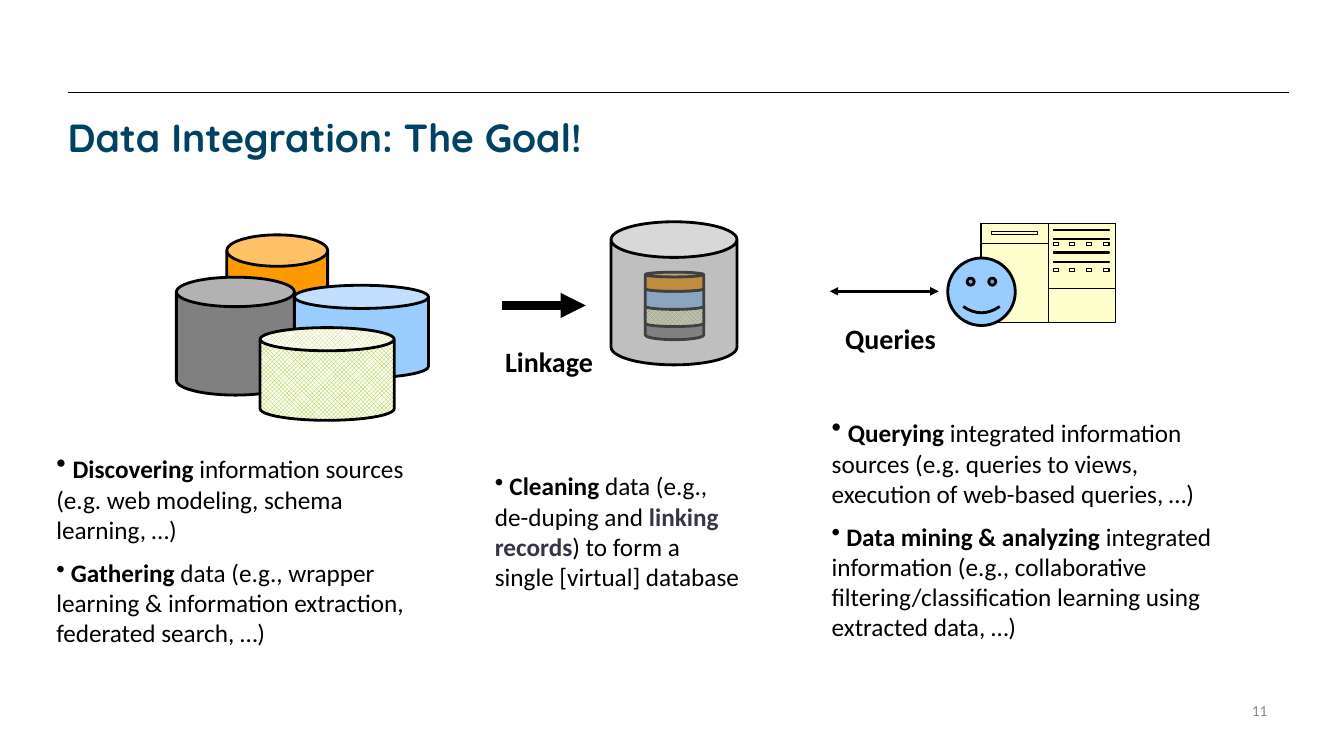
from dataclasses import dataclass

from lxml.etree import SubElement
from pptx import Presentation
from pptx.dml.color import RGBColor
from pptx.enum.dml import MSO_PATTERN
from pptx.enum.shapes import MSO_CONNECTOR, MSO_SHAPE
from pptx.enum.text import MSO_ANCHOR, MSO_AUTO_SIZE, PP_ALIGN
from pptx.oxml.ns import qn
from pptx.util import Pt

PX = 9144


@dataclass(frozen=True)
class Theme:
    """Colours, fonts and type sizes of the slide."""
    ink: str = "000000"
    navy: str = "004266"
    slate: str = "373545"
    mute: str = "898989"
    orange: str = "FF9900"
    blue: str = "99CCFF"
    gray: str = "808080"
    lime: str = "99CC00"
    white: str = "FFFFFF"
    cream: str = "FFFFCC"
    head: str = "Quicksand"
    body: str = "Calibri"
    title: int = 28
    label: int = 20
    text: int = 18
    small: int = 11


T = Theme()


def rgb(tone):
    """Turn a hex tone into a colour."""
    return RGBColor.from_string(tone)


def style(font, size, tone, bold=None, face=T.body):
    """Set size, colour, weight and face of a font."""
    font.name, font.size, font.bold = face, Pt(size), bold
    font.color.rgb = rgb(tone)


def outline(shape, width=2):
    """Give a shape a plain black outline."""
    shape.shadow.inherit = False
    shape.line.color.rgb = rgb(T.ink)
    shape.line.width = Pt(width)


def frame(shapes, x, y, w, h):
    """Add a text box and return its frame."""
    return shapes.add_textbox(x * PX, y * PX, w * PX, h * PX).text_frame


def label(shapes, x, y, w, h, text):
    """Add a bold caption that does not wrap."""
    body = frame(shapes, x, y, w, h)
    body.word_wrap = False
    body.auto_size = MSO_AUTO_SIZE.SHAPE_TO_FIT_TEXT
    para = body.paragraphs[0]
    para.text, para.alignment = text, PP_ALIGN.RIGHT
    style(para.font, T.label, T.ink, True)


def notes(shapes, x, y, w, h, items, lead=T.label):
    """Add bulleted paragraphs made of (text, bold, tone) runs."""
    body = frame(shapes, x, y, w, h)
    body.word_wrap = True
    body.auto_size = MSO_AUTO_SIZE.SHAPE_TO_FIT_TEXT
    for i, runs in enumerate(items):
        para = body.add_paragraph() if i else body.paragraphs[0]
        if i:
            para.space_before = Pt(9)
        props = para._p.get_or_add_pPr()
        props.set("marL", "0")
        props.set("indent", "0")
        SubElement(props, qn("a:buChar"), char="•")
        style(para.font, T.text, T.ink)
        gap = para.add_run()
        gap.text = " "
        gap.font.size = Pt(T.text if i else lead)
        for text, bold, tone in runs:
            run = para.add_run()
            run.text, run.font.bold = text, bold
            run.font.color.rgb = rgb(tone)


def can(shapes, x, y, w, h, tone, lid=0.25, alpha=None):
    """Add a drum; lime drums get a trellis pattern."""
    drum = shapes.add_shape(MSO_SHAPE.CAN, x * PX, y * PX, w * PX, h * PX)
    drum.adjustments[0] = lid
    outline(drum)
    if tone == T.lime:
        drum.fill.patterned()
        drum.fill.pattern = MSO_PATTERN.TRELLIS
        drum.fill.back_color.rgb = rgb(T.white)
    else:
        drum.fill.solid()
    drum.fill.fore_color.rgb = rgb(tone)
    if alpha:
        color = drum.element.spPr.find(qn("a:solidFill"))[0]
        SubElement(color, qn("a:alpha"), val=str(alpha * 1000))


def rule(shapes, x, y, end, width, tips=()):
    """Add a level line with arrowheads at the named tips."""
    line = shapes.add_connector(MSO_CONNECTOR.STRAIGHT, x * PX, y * PX, end * PX, y * PX)
    line.line.color.rgb = rgb(T.ink)
    line.line.width = Pt(width)
    for tip in tips:
        SubElement(line.line._get_or_add_ln(), qn("a:" + tip), type="triangle")
    SubElement(line.element.spPr, qn("a:effectLst"))


def trace(shapes, x, y, lines):
    """Draw several point lists as one outline."""
    first, *rest = lines
    pen = shapes.build_freeform(*first[0], scale=PX)
    pen.add_line_segments(first[1:], close=False)
    for dots in rest:
        pen.move_to(*dots[0])
        pen.add_line_segments(dots[1:], close=False)
    shape = pen.convert_to_shape(x * PX, y * PX)
    outline(shape, 0.75)
    return shape


def ring(x, y, w, h):
    """Return the corners of a closed rectangle."""
    return [(x, y), (x + w, y), (x + w, y + h), (x, y + h), (x, y)]


def sheet(shapes, x, y, w, h):
    """Draw the form with its dividers, bars and ticks."""
    page = trace(shapes, x, y, [ring(0, 0, w, h)])
    page.fill.solid()
    page.fill.fore_color.rgb = rgb(T.cream)
    mid = w // 2 + 1
    marks = [[(mid, 0), (mid, h)], [(0, 20), (mid, 20)], [(mid, 64), (w, 64)]]
    marks.append(ring(10, 8, 46, 3))
    marks += [ring(72, top, 55, 1) for top in (6, 15, 28, 37)]
    marks += [ring(72 + i * 50 // 3, top, 5, 3) for top in (19, 44) for i in range(4)]
    trace(shapes, x, y, marks).fill.background()


def header(shapes, x, y, w, h):
    """Place the top rule and the title."""
    rule(shapes, x, y, x + w, 0.75)
    body = frame(shapes, x, y + 20, w, h - 20)
    body.margin_left = body.margin_right = body.margin_top = body.margin_bottom = 0
    body.vertical_anchor = MSO_ANCHOR.MIDDLE
    body.word_wrap = True
    para = body.paragraphs[0]
    para.text = "Data Integration: The Goal!"
    style(para.font, T.title, T.navy, True, T.head)


def footer(shapes, x, y, w, h):
    """Place the page number."""
    body = frame(shapes, x, y, w, h)
    body.word_wrap = True
    body.vertical_anchor = MSO_ANCHOR.MIDDLE
    para = body.paragraphs[0]
    para.text, para.alignment = "11", PP_ALIGN.RIGHT
    style(para.font, T.small, T.mute)


def source(shapes, x, y, w, h):
    """Place the four source drums and their notes."""
    can(shapes, x + 179, y, 100, 125, T.orange, 0.312)
    can(shapes, x + 246, y + 50, 133, 92, T.blue)
    can(shapes, x + 129, y + 42, 117, 117, T.gray)
    can(shapes, x + 212, y + 92, 133, 92, T.lime)
    notes(shapes, x, y + 209, w, h - 209, [
        [("Discovering", True, T.ink),
         (" information sources (e.g. web modeling, schema learning, …)", False, T.ink)],
        [("Gathering", True, T.ink),
         (" data (e.g., wrapper learning & information extraction, federated search, …)",
          False, T.ink)]])


def query(shapes, x, y, w, h):
    """Place the form, the user, the query arrow and the notes."""
    sheet(shapes, x + 158, y, 133, 98)
    face = shapes.add_shape(MSO_SHAPE.SMILEY_FACE, (x + 125) * PX, (y + 34) * PX, 67 * PX, 67 * PX)
    face.adjustments[0] = 0.047
    face.fill.solid()
    face.fill.fore_color.rgb = rgb(T.blue)
    outline(face)
    label(shapes, x + 12, y + 92, 111, 44, "Queries")
    rule(shapes, x + 116, y + 67, x + 8, 2, ("headEnd", "tailEnd"))
    notes(shapes, x, y + 184, w, h - 184, [
        [("Querying", True, T.ink),
         (" integrated information sources (e.g. queries to views, "
          "execution of web-based queries, …)", False, T.ink)],
        [("Data mining & analyzing ", True, T.ink),
         ("integrated information (e.g., collaborative filtering/classification "
          "learning using extracted data, …)", False, T.ink)]])


def link(shapes, x, y, w, h):
    """Place the merged drum, the linkage arrow and the notes."""
    stack = ((80, 37, T.gray), (80, 24, T.lime), (63, 24, T.blue), (50, 19, T.orange))
    for top, tall, tone in stack:
        can(shapes, x + 159, y + top, 58, tall, tone)
    can(shapes, x + 125, y, 125, 142, T.gray, 0.283, 50)
    rule(shapes, x + 17, y + 83, x + 100, 6, ("tailEnd",))
    label(shapes, x + 9, y + 117, 108, 44, "Linkage")
    notes(shapes, x, y + 242, w, h - 242, [
        [("Cleaning", True, T.ink), (" data (e.g., de-duping and ", False, T.ink),
         ("linking records", True, T.slate),
         (") to form a single [virtual] database", False, T.ink)]], T.text)


def main():
    """Build the slide and save it."""
    deck = Presentation()
    deck.slide_width, deck.slide_height = 1333 * PX, 750 * PX
    shapes = deck.slides.add_slide(deck.slide_layouts[6]).shapes
    header(shapes, 67, 92, 1211, 67)
    footer(shapes, 956, 692, 311, 25)
    source(shapes.add_group_shape().shapes, 46, 233, 379, 419)
    query(shapes.add_group_shape().shapes, 815, 222, 428, 425)
    link(shapes.add_group_shape().shapes, 481, 220, 266, 373)
    deck.save("out.pptx")


if __name__ == "__main__":
    main()
